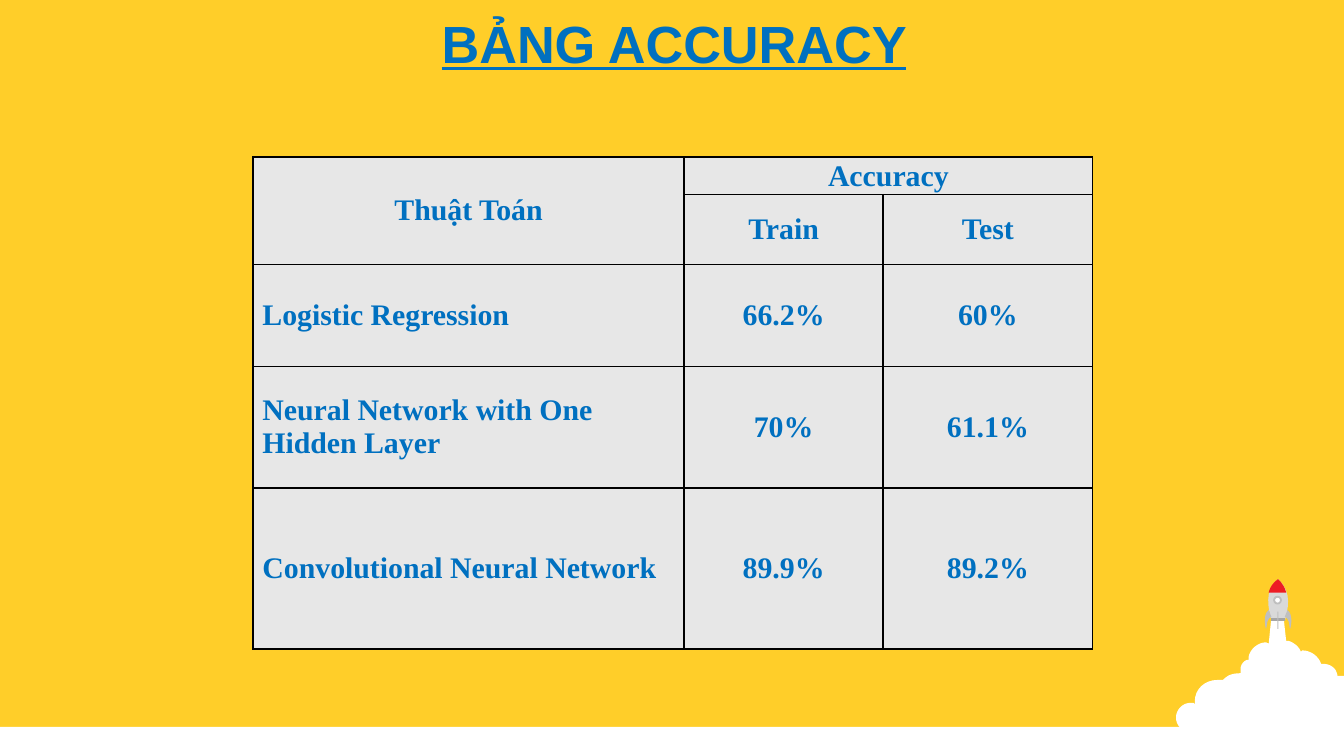
import pptx
import pptx.dml.color
import pptx.enum.shapes
import pptx.enum.text
import pptx.oxml
import pptx.oxml.ns
import pptx.util
from pptx.util import Cm

COLORS = {
    "yellow": "FFCE29", "white": "FFFFFF", "blue": "0070C0", "cell": "E7E7E7",
    "black": "000000", "body": "D9D9D9", "band": "A6A6A6", "nose": "ED1C24",
    "metal": "BFBFBF",
}
RECTANGLE = pptx.enum.shapes.MSO_SHAPE.RECTANGLE
OVAL = pptx.enum.shapes.MSO_SHAPE.OVAL
LEFT = pptx.enum.text.PP_ALIGN.LEFT
CENTER = pptx.enum.text.PP_ALIGN.CENTER
MIDDLE = pptx.enum.text.MSO_ANCHOR.MIDDLE

# Outlines in hundredths of an inch: two numbers are a point to reach by a
# straight line, six are a Bézier curve (two controls and an end point).
UNIT = Cm(2.54) / 100
SMOKE = [
    (946, 459), (955, 459), (957, 477), (959, 477),
    (962, 478, 965, 480, 967, 483), (968, 485), (969, 484),
    (975, 484, 981, 488, 983, 494), (984, 494),
    (990, 494, 994, 497, 995, 502), (995, 503), (1000, 503), (1000, 560),
    (998, 560), (994, 560, 990, 559, 987, 557), (986, 556), (985, 557),
    (983, 558, 981, 559, 978, 559), (975, 559, 973, 557, 971, 555),
    (969, 554), (969, 555), (967, 558, 964, 559, 960, 559),
    (957, 559, 954, 558, 952, 556), (951, 555), (949, 556),
    (945, 559, 940, 561, 934, 561), (923, 561, 917, 556, 913, 551),
    (911, 553, 907, 554, 904, 553), (900, 552, 894, 550, 893, 545),
    (893, 543), (892, 544), (891, 545, 889, 545, 886, 545),
    (880, 545, 875, 540, 875, 534), (875, 528, 880, 523, 886, 523),
    (888, 523), (889, 524), (889, 522), (889, 513, 896, 506, 906, 506),
    (909, 506), (910, 506), (911, 505), (914, 502, 918, 501, 923, 501),
    (923, 498), (923, 495, 925, 492, 928, 491), (929, 491), (929, 489),
    (930, 483, 936, 478, 942, 478), (944, 479),
]
BODY = [(946, 462), (944, 453, 940, 440, 951, 431),
        (962, 441, 958, 454, 956, 462)]
BAND = [(946, 460), (956, 460), (956, 462), (946, 462)]
NOSE = [(951, 431), (954, 434, 956, 437, 957, 441), (944, 441),
        (945, 437, 947, 434, 951, 431)]
LEFT_FIN = [(944, 454), (946, 459), (942, 461, 943, 466, 942, 468),
            (941, 465, 940, 457, 944, 454)]
ROCKET_AXIS = 951

COLUMN_WIDTHS = [8.15, 3.76, 3.96]
ROW_HEIGHTS = [0.71, 1.32, 1.93, 2.29, 3.05]
ROWS = [
    ["Thuật Toán", "Accuracy", ""],
    ["", "Train", "Test"],
    ["Logistic Regression", "66.2%", "60%"],
    ["Neural Network with One\nHidden Layer", "70%", "61.1%"],
    ["Convolutional Neural Network", "89.9%", "89.2%"],
]


def rgb(name):
    return pptx.dml.color.RGBColor.from_string(COLORS[name])


def paint(shape, fill, line=None):
    shape.shadow.inherit = False
    shape.fill.solid()
    shape.fill.fore_color.rgb = rgb(fill)
    if line:
        shape.line.color.rgb = rgb(line)
        shape.line.width = pptx.util.Pt(1)
    else:
        shape.line.fill.background()


def add_preset(slide, kind, left, top, width, height, fill, line=None):
    shape = slide.shapes.add_shape(kind, Cm(left), Cm(top), Cm(width), Cm(height))
    paint(shape, fill, line)


def flatten(outline, steps=8):
    """Turn an outline into points, sampling each curve."""
    points = []
    for segment in outline:
        if len(segment) == 2:
            points.append(segment)
            continue
        x0, y0 = points[-1]
        x1, y1, x2, y2, x3, y3 = segment
        for step in range(1, steps + 1):
            t = step / steps
            a, b, c, d = (1 - t) ** 3, 3 * t * (1 - t) ** 2, 3 * t * t * (1 - t), t ** 3
            points.append((a * x0 + b * x1 + c * x2 + d * x3,
                           a * y0 + b * y1 + c * y2 + d * y3))
    return points


def add_outline(slide, points, fill):
    scaled = [(x * UNIT, y * UNIT) for x, y in points]
    builder = slide.shapes.build_freeform(*scaled[0])
    builder.add_line_segments(scaled[1:], close=True)
    paint(builder.convert_to_shape(), fill)


def add_text(paragraph, text, font_name, size, alignment, underline=None):
    paragraph.alignment = alignment
    run = paragraph.add_run()
    run.text = text
    font = run.font
    font.name = font_name
    font.size = pptx.util.Pt(size)
    font.bold = True
    font.underline = underline
    font.color.rgb = rgb("blue")


def add_borders(cell):
    properties = cell._tc.get_or_add_tcPr()
    for index, side in enumerate("LRTB"):
        properties.insert(index, pptx.oxml.parse_xml(
            f'<a:ln{side} {pptx.oxml.ns.nsdecls("a")} w="12700"><a:solidFill>'
            f'<a:srgbClr val="{COLORS["black"]}"/></a:solidFill></a:ln{side}>'))


def fill_cell(cell, text, alignment):
    cell.fill.solid()
    cell.fill.fore_color.rgb = rgb("cell")
    cell.vertical_anchor = MIDDLE
    cell.margin_left = cell.margin_right = Cm(0.18)
    cell.margin_top = cell.margin_bottom = 0
    add_borders(cell)
    if not text:
        return
    frame = cell.text_frame
    for index, line in enumerate(text.split("\n")):
        paragraph = frame.add_paragraph() if index else frame.paragraphs[0]
        add_text(paragraph, line, "Times New Roman", 16, alignment)


def add_accuracy_table(slide):
    table = slide.shapes.add_table(
        len(ROWS), len(COLUMN_WIDTHS), Cm(4.78), Cm(2.97),
        Cm(sum(COLUMN_WIDTHS)), Cm(sum(ROW_HEIGHTS))).table
    for column, width in zip(table.columns, COLUMN_WIDTHS):
        column.width = Cm(width)
    for row, height in zip(table.rows, ROW_HEIGHTS):
        row.height = Cm(height)
    for i, texts in enumerate(ROWS):
        for j, text in enumerate(texts):
            alignment = LEFT if i >= 2 and j == 0 else CENTER
            fill_cell(table.cell(i, j), text, alignment)
    table.cell(0, 0).merge(table.cell(1, 0))
    table.cell(0, 1).merge(table.cell(0, 2))


def add_rocket(slide):
    for outline, fill in ((SMOKE, "white"), (BODY, "body"),
                          (BAND, "band"), (NOSE, "nose")):
        add_outline(slide, flatten(outline), fill)
    # Window and middle fin
    add_preset(slide, OVAL, 24.08, 11.28, 0.13, 0.13, "white", "metal")
    add_preset(slide, RECTANGLE, 24.14, 11.56, 0.02, 0.33, "metal")
    # Side fins, mirrored about the rocket's axis
    fin = flatten(LEFT_FIN)
    add_outline(slide, fin, "metal")
    add_outline(slide, [(2 * ROCKET_AXIS - x, y) for x, y in fin], "metal")


def add_title(slide):
    frame = slide.shapes.add_textbox(Cm(0.08), 0, Cm(25.32), Cm(1.6)).text_frame
    frame.word_wrap = True
    frame.vertical_anchor = MIDDLE
    add_text(frame.paragraphs[0], "BẢNG ACCURACY", "Arial", 28, CENTER, underline=True)


def main():
    presentation = pptx.Presentation()
    presentation.slide_width = Cm(25.4)
    presentation.slide_height = Cm(14.29)
    slide = presentation.slides.add_slide(presentation.slide_layouts[6])

    # Background, ground and rocket
    slide.background.fill.solid()
    slide.background.fill.fore_color.rgb = rgb("yellow")
    add_preset(slide, RECTANGLE, 0, 13.74, 25.4, 0.61, "white")
    add_rocket(slide)

    # Content
    add_accuracy_table(slide)
    add_title(slide)
    presentation.save("out.pptx")


if __name__ == "__main__":
    main()
